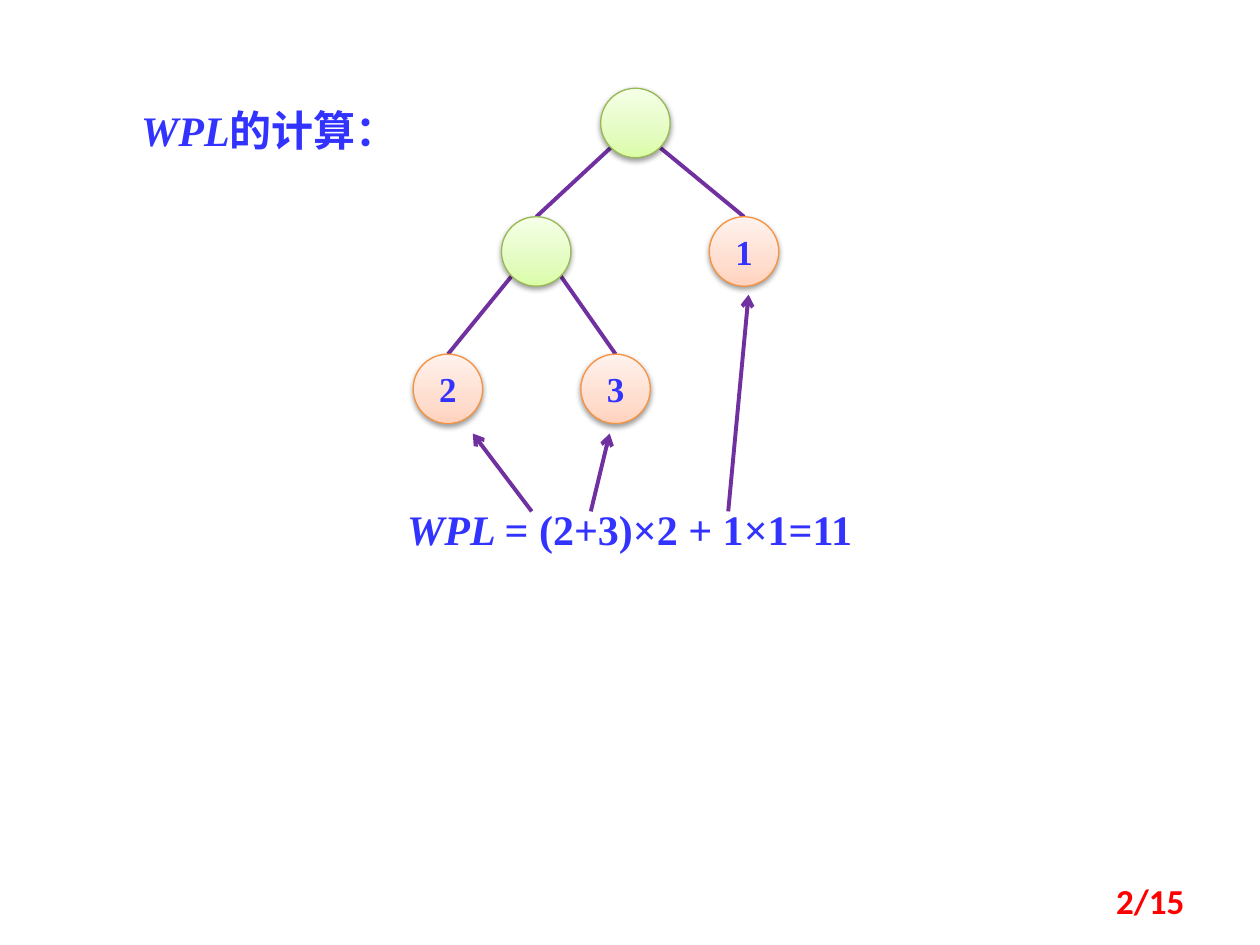
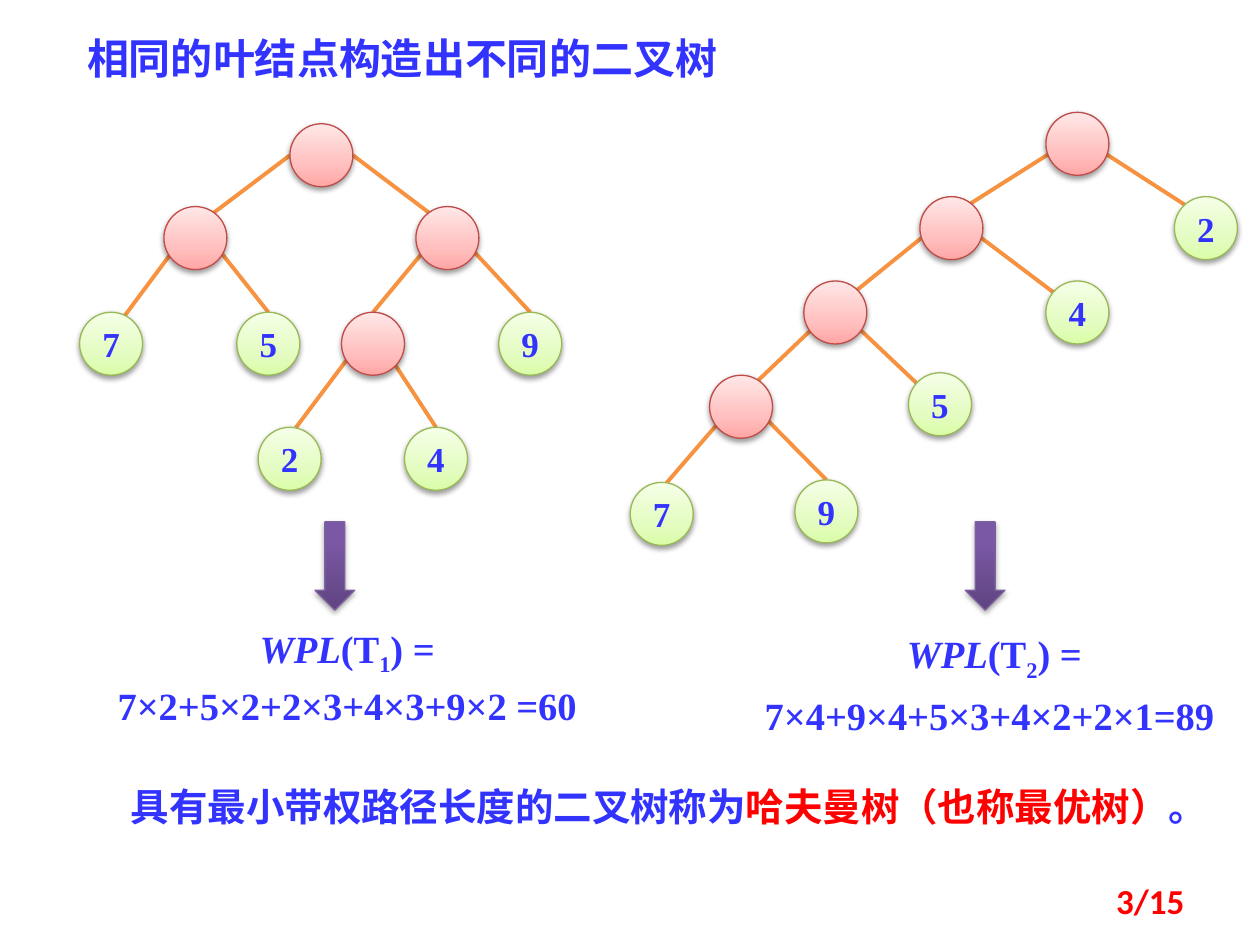
from math import cos, radians, sin

from lxml import etree
from pptx import Presentation
from pptx.dml.color import RGBColor
from pptx.enum.shapes import MSO_CONNECTOR, MSO_SHAPE
from pptx.enum.text import MSO_ANCHOR, MSO_AUTO_SIZE, PP_ALIGN
from pptx.oxml import parse_xml
from pptx.oxml.ns import nsdecls, qn
from pptx.util import Cm, Pt

# Shared colours and fonts
BLUE = RGBColor(0x33, 0x33, 0xFF)
RED = RGBColor(0xFF, 0x00, 0x00)
PURPLE = RGBColor(0x70, 0x30, 0xA0)
ORANGE = RGBColor(0xF6, 0x92, 0x40)
GREEN_LINE = RGBColor(0x98, 0xB9, 0x55)
PINK_LINE = RGBColor(0xBF, 0x4C, 0x48)
VIOLET_LINE = RGBColor(0x7D, 0x60, 0xA0)
SERIF = "Times New Roman"
SANS = "Calibri"
CHINESE = "Noto Sans CJK SC"

# Looks: outline colour, gradient stops from bottom to top, shadow opacity
GREEN = (GREEN_LINE, [(0, "DAFDA7"), (35, "E4FCC2"), (100, "F5FFE7")], 38)
PEACH = (ORANGE, [(0, "FFD2BD"), (35, "FFDED0"), (100, "FFF2ED")], 38)
PINK = (PINK_LINE, [(0, "FFA6A5"), (35, "FFC0BF"), (100, "FFE7E7")], 38)
VIOLET = (VIOLET_LINE, [(0, "5F4480"), (80, "7B58A6"), (100, "7C57A8")], 35)

PAGE_TOTAL = 15

# Trees: name -> centre x, centre y, label, parent,
# angle of the edge below the parent's side, angle of its end off the child's top
SMALL_TREE = {
    "root": (4.48, 0.7, "", None, 0, 0),
    "inner": (2.48, 3.29, "", "root", 45, 0),
    "leaf 1": (6.67, 3.29, "1", "root", 45, 0),
    "leaf 2": (0.7, 6.06, "2", "inner", 45, 0),
    "leaf 3": (4.08, 6.06, "3", "inner", 45, 0),
}
BALANCED_TREE = {
    "root": (4.88, 0.64, "", None, 0, 0),
    "left": (2.34, 2.31, "", "root", 0, 36),
    "right": (7.42, 2.31, "", "root", 0, 36),
    "leaf 7": (0.64, 4.44, "7", "left", 34, 26),
    "leaf 5": (3.81, 4.44, "5", "left", 31, 0),
    "middle": (5.92, 4.44, "", "right", 32, 0),
    "leaf 9": (9.09, 4.44, "9", "right", 28, 0),
    "leaf 2": (4.24, 6.76, "2", "middle", 32, 11),
    "leaf 4": (7.19, 6.76, "4", "middle", 44, 0),
}
SKEWED_TREE = {
    "root": (9.02, 0.64, "", None, 0, 0),
    "second": (6.48, 2.34, "", "root", 20, 38),
    "leaf 2": (11.61, 2.34, "2", "root", 20, 42),
    "third": (4.14, 4.04, "", "second", 18, 44),
    "leaf 4": (9.02, 4.04, "4", "second", 18, 50),
    "fourth": (2.24, 5.94, "", "third", 36, 33),
    "leaf 5": (6.25, 5.89, "5", "third", 35, 48),
    "leaf 7": (0.64, 8.1, "7", "fourth", 37, 9),
    "leaf 9": (3.96, 8.05, "9", "fourth", 28, 0),
}


def add_span(para, text, size, color=BLUE, font=SERIF, italic=False, baseline=None):
    span = para.add_run()
    span.text = text
    span.font.size = Pt(size)
    span.font.bold = True
    span.font.italic = italic
    span.font.color.rgb = color
    span.font.name = font
    properties = span.font._element
    east_asian = etree.Element(qn("a:ea"), typeface=CHINESE)
    properties.find(qn("a:latin")).addnext(east_asian)
    if baseline:
        properties.set("baseline", str(baseline * 1000))


def add_text_box(page, left, top, width, height, align=PP_ALIGN.LEFT):
    box = page.shapes.add_textbox(Cm(left), Cm(top), Cm(width), Cm(height))
    box.text_frame.word_wrap = True
    para = box.text_frame.paragraphs[0]
    para.alignment = align
    return box, para


def style_shape(shape, look):
    """Give a shape its outline, upward gradient and soft shadow."""
    line_color, stops, opacity = look
    shape.line.color.rgb = line_color
    shape.line.width = Pt(0.75)
    shape.fill.background()
    stop_list = "".join(
        f'<a:gs pos="{position * 1000}"><a:srgbClr val="{color}"/></a:gs>'
        for position, color in stops)
    gradient = parse_xml(
        f'<a:gradFill {nsdecls("a")} rotWithShape="1"><a:gsLst>{stop_list}</a:gsLst>'
        '<a:lin ang="16200000" scaled="0"/></a:gradFill>')
    properties = shape._element.spPr
    properties.replace(properties.find(qn("a:noFill")), gradient)
    shape.shadow.inherit = False
    properties.find(qn("a:effectLst")).append(parse_xml(
        f'<a:outerShdw {nsdecls("a")} blurRad="{Pt(3.1)}" dist="{Pt(1.6)}" '
        'dir="5400000" rotWithShape="0"><a:srgbClr val="000000">'
        f'<a:alpha val="{opacity * 1000}"/></a:srgbClr></a:outerShdw>'))


def add_line(page, start, end, color, arrow=False):
    line = page.shapes.add_connector(
        MSO_CONNECTOR.STRAIGHT, *(Cm(value) for value in (*start, *end)))
    line.line.color.rgb = color
    line.line.width = Pt(2.25)
    if arrow:
        etree.SubElement(line.line._get_or_add_ln(), qn("a:tailEnd"), type="arrow")
    etree.SubElement(line._element.spPr, qn("a:effectLst"))


def add_node(page, x, y, diameter, label, look):
    node = page.shapes.add_shape(
        MSO_SHAPE.OVAL, Cm(x - diameter / 2), Cm(y - diameter / 2),
        Cm(diameter), Cm(diameter))
    style_shape(node, look)
    if label:
        frame = node.text_frame
        frame.word_wrap = False
        frame.vertical_anchor = MSO_ANCHOR.MIDDLE
        frame.paragraphs[0].alignment = PP_ALIGN.CENTER
        add_span(frame.paragraphs[0], label, 20)


def add_tree(page, left, top, nodes, diameter, inner_look, leaf_look, edge_color):
    radius = diameter / 2
    # Edges lie behind the nodes
    for x, y, _, parent, start_angle, end_angle in nodes.values():
        if parent is None:
            continue
        parent_x, parent_y = nodes[parent][:2]
        side = 1 if x > parent_x else -1
        start, end = radians(start_angle), radians(end_angle)
        add_line(page,
                 (left + parent_x + side * radius * cos(start),
                  top + parent_y + radius * sin(start)),
                 (left + x - side * radius * sin(end),
                  top + y - radius * cos(end)),
                 edge_color)
    for x, y, label, *_ in nodes.values():
        add_node(page, left + x, top + y, diameter, label,
                 leaf_look if label else inner_look)


def add_page(deck, number, left, top, width, title_spans):
    """Add a page with its title and page number."""
    page = deck.slides.add_slide(deck.slide_layouts[5])
    title = page.shapes.title
    title.left, title.top, title.width, title.height = (
        Cm(value) for value in (left, top, width, 1.27))
    frame = title.text_frame
    frame.auto_size = MSO_AUTO_SIZE.NONE
    frame.vertical_anchor = MSO_ANCHOR.TOP
    frame.paragraphs[0].alignment = PP_ALIGN.LEFT
    for text, italic in title_spans:
        add_span(frame.paragraphs[0], text, 24, italic=italic)

    box, para = add_text_box(page, 18.21, 17.65, 5.92, 1.02, PP_ALIGN.RIGHT)
    box.text_frame.vertical_anchor = MSO_ANCHOR.MIDDLE
    add_span(para, f"{number}/{PAGE_TOTAL}", 20, RED, SANS)
    return page


def add_formula(page, left, top):
    """Write the path length sum with arrows up to its leaves."""
    _, para = add_text_box(page, left, top, 12.29, 1.27, PP_ALIGN.CENTER)
    add_span(para, "WPL ", 24, italic=True)
    add_span(para, "= (2+3)×2 + 1×1=11", 24)
    for term_x, leaf_x, leaf_y in ((4.17, 2.98, -1.29),
                                   (5.36, 5.74, -1.29),
                                   (8.13, 8.54, -4.09)):
        add_line(page, (left + term_x, top + 0.28),
                 (left + leaf_x, top + leaf_y), PURPLE, arrow=True)


def add_result(page, left, top, width, height, index, total,
               arrow_left, spacing, gap):
    """Show a tree's path length under a down arrow."""
    box, heading = add_text_box(page, left, top, width, height, PP_ALIGN.CENTER)
    add_span(heading, "WPL", 22, italic=True)
    add_span(heading, "(T", 22)
    add_span(heading, index, 22, baseline=-25)
    add_span(heading, ") =", 22)
    sum_line = box.text_frame.add_paragraph()
    sum_line.alignment = PP_ALIGN.CENTER
    sum_line.space_before = Pt(gap)
    add_span(sum_line, total, 22)
    for para in (heading, sum_line):
        para.line_spacing = spacing

    arrow = page.shapes.add_shape(
        MSO_SHAPE.DOWN_ARROW, Cm(left + arrow_left), Cm(10.52), Cm(0.8), Cm(1.78))
    style_shape(arrow, VIOLET)


def add_conclusion(page, left, top):
    _, para = add_text_box(page, left, top, 22.63, 1.19)
    for text, color in (("具有最小带权路径长度的二叉树称为", BLUE),
                        ("哈夫曼树（也称最优树）", RED),
                        ("。", BLUE)):
        add_span(para, text, 22, color, CHINESE)


def build_calculation_page(deck):
    page = add_page(deck, 2, 2.59, 1.98, 6.15, [("WPL", True), ("的计算：", False)])
    add_tree(page, 8.33, 1.78, SMALL_TREE, 1.4, GREEN, PEACH, PURPLE)
    add_formula(page, 6.55, 10.03)


def build_comparison_page(deck):
    page = add_page(deck, 3, 1.5, 0.53, 18.59,
                    [("相同的叶结点构造出不同的二叉树", False)])
    add_tree(page, 1.6, 2.49, BALANCED_TREE, 1.27, PINK, GREEN, ORANGE)
    add_tree(page, 12.7, 2.26, SKEWED_TREE, 1.27, PINK, GREEN, ORANGE)
    add_result(page, 1.5, 12.57, 11, 2.31, "1", "7×2+5×2+2×3+4×3+9×2 =60",
               arrow_left=4.85, spacing=0.8, gap=11)
    add_result(page, 15.09, 12.37, 9.91, 2.51, "2", "7×4+9×4+5×3+4×2+2×1=89 ",
               arrow_left=4.37, spacing=1.2, gap=0)
    add_conclusion(page, 2.39, 15.67)


def main():
    deck = Presentation()
    deck.slide_width, deck.slide_height = Cm(25.4), Cm(19.05)
    build_calculation_page(deck)
    build_comparison_page(deck)
    deck.save("out.pptx")


if __name__ == "__main__":
    main()
